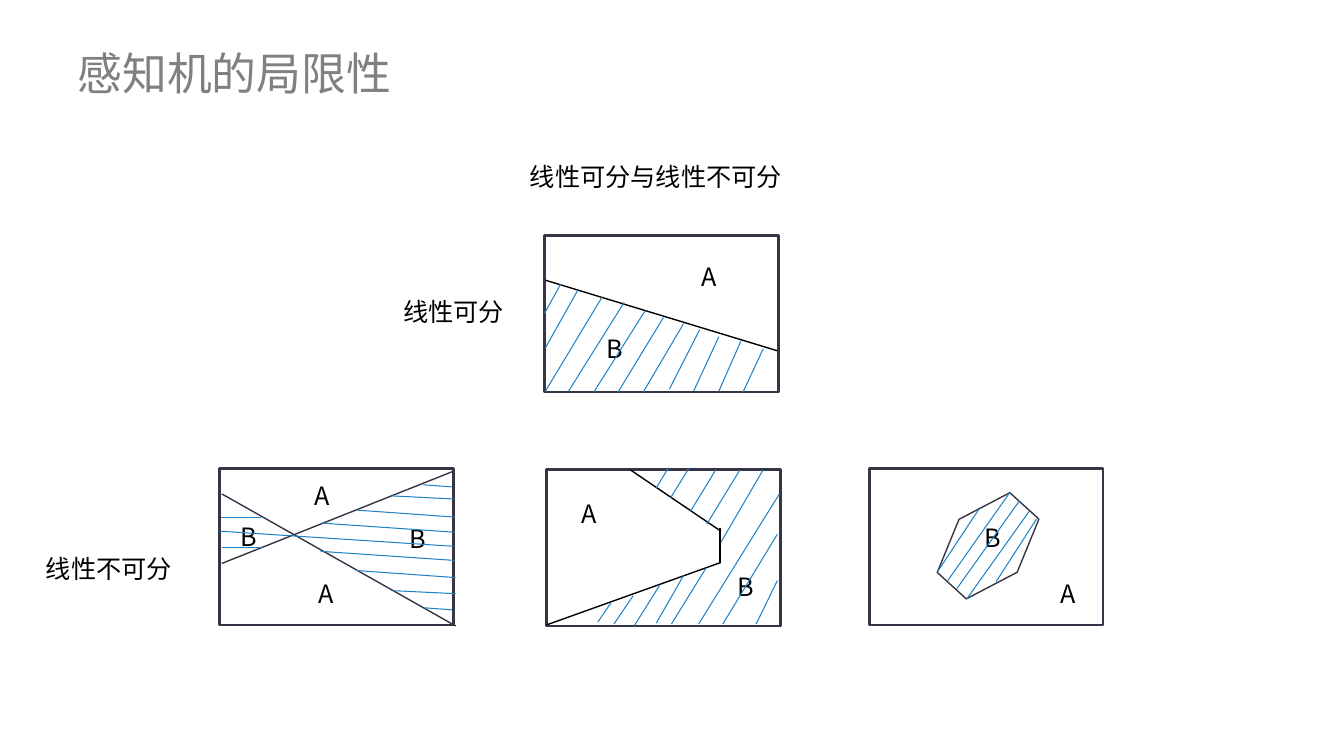
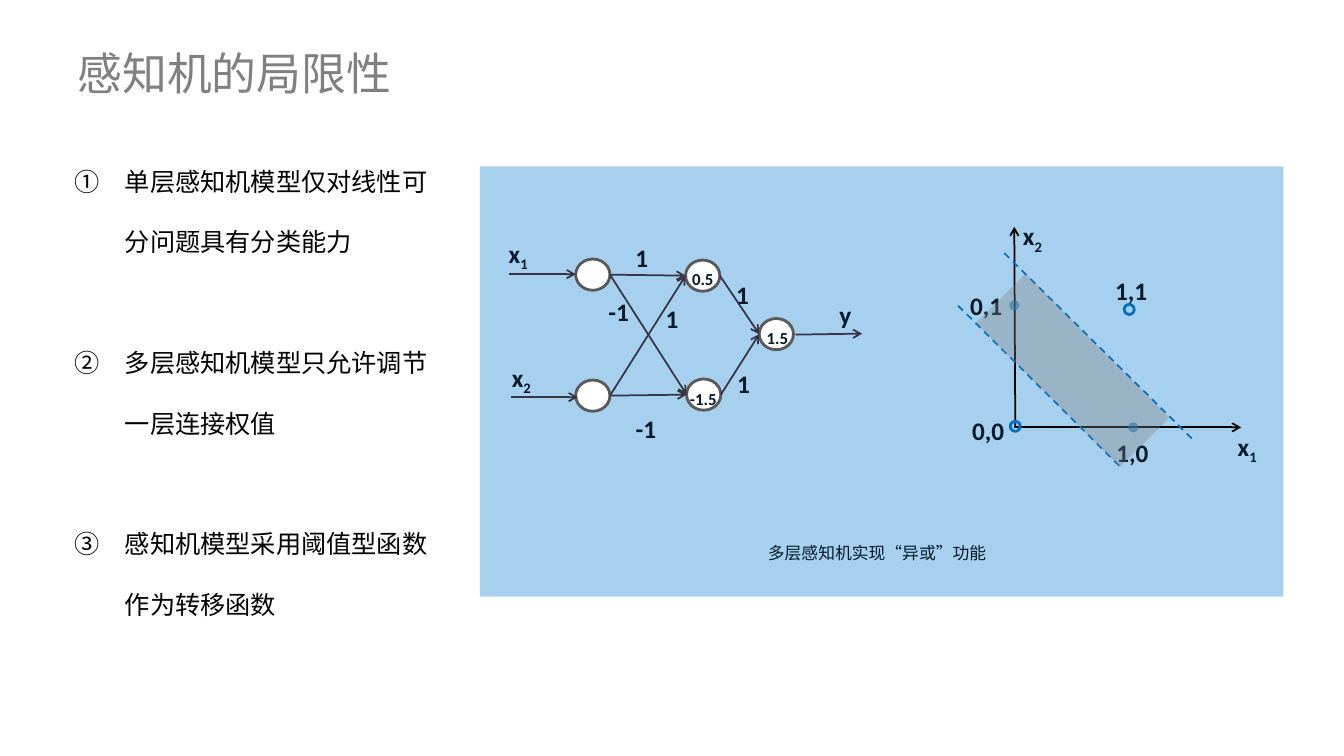
from lxml.etree import SubElement
from pptx import Presentation
from pptx.dml.color import RGBColor
from pptx.enum.dml import MSO_LINE
from pptx.enum.shapes import MSO_CONNECTOR, MSO_SHAPE
from pptx.enum.text import MSO_ANCHOR, PP_ALIGN
from pptx.oxml.ns import qn
from pptx.util import Inches, Pt

BLACK = RGBColor(0x00, 0x00, 0x00)
WHITE = RGBColor(0xFF, 0xFF, 0xFF)
GRAY = RGBColor(0x80, 0x80, 0x80)
NODE_GRAY = RGBColor(0x59, 0x59, 0x59)
OUTLINE = RGBColor(0x37, 0x35, 0x45)
HATCH_BLUE = RGBColor(0x21, 0x81, 0xC6)
POINT_BLUE = RGBColor(0x00, 0x70, 0xC0)
PANEL_BLUE = RGBColor(0x75, 0xB6, 0xE5)
NAVY = RGBColor(0x02, 0x19, 0x29)

CHINESE_FONT = "Noto Sans CJK SC"
TITLE = "感知机的局限性"
TITLE_FORMAT = {"size": Pt(32), "name": CHINESE_FONT}
BODY_FORMAT = {"size": Pt(18), "name": CHINESE_FONT}
SIDE_FORMAT = {"size": Pt(18), "name": "Arial"}
CAPTION_FORMAT = {"size": Pt(12), "name": CHINESE_FONT}
SYMBOL_FORMAT = {"size": Pt(18), "name": "Calibri", "bold": True}
THRESHOLD_FORMAT = {**SYMBOL_FORMAT, "size": Pt(12)}
CENTERED = {"alignment": PP_ALIGN.CENTER}
DOUBLE_SPACED = {"alignment": PP_ALIGN.CENTER, "line_spacing": 2.0}
LOOSE = {"alignment": PP_ALIGN.CENTER, "line_spacing": 1.5}

FRAME_SIZE = (2.32, 1.55)
FRAMES = [(5.4, 2.34), (2.18, 4.65), (5.42, 4.66), (8.62, 4.65)]
REGION_LABELS = [
    ("A", 6.84, 2.54), ("B", 5.91, 3.26),
    ("A", 3.01, 4.72), ("A", 3.04, 5.69), ("B", 2.28, 5.12), ("B", 3.95, 5.14),
    ("A", 5.65, 4.89), ("B", 7.21, 5.62),
    ("B", 9.66, 5.13), ("A", 10.4, 5.69),
]
CROSSING_BOUNDARIES = [(2.2, 4.9, 4.52, 6.21), (2.2, 5.59, 4.51, 4.67)]
BLACK_BOUNDARIES = [
    (5.41, 2.78, 7.71, 3.48),
    (6.25, 4.66, 7.15, 5.27), (7.14, 5.24, 7.14, 5.58), (7.15, 5.58, 5.42, 6.2),
]
SEPARABLE_HATCH = [
    (5.56, 2.82, 5.4, 3.11), (5.73, 2.88, 5.41, 3.45), (5.97, 2.95, 5.41, 3.88),
    (6.19, 3, 5.64, 3.88), (6.4, 3.08, 5.89, 3.89), (6.58, 3.15, 6.13, 3.89),
    (6.78, 3.21, 6.38, 3.89), (6.94, 3.27, 6.64, 3.86), (7.13, 3.34, 6.88, 3.88),
    (7.35, 3.38, 7.13, 3.88), (7.57, 3.46, 7.37, 3.89),
]
CROSSING_HATCH = [
    (2.59, 5.13, 2.19, 5.13), (4.5, 5.42, 2.18, 5.27), (2.6, 5.43, 2.2, 5.43),
    (4.51, 5.56, 3.18, 5.47), (4.52, 5.73, 3.53, 5.66), (4.52, 5.89, 3.9, 5.86),
    (4.49, 6.05, 4.21, 6.03), (4.48, 4.83, 4.2, 4.81), (4.5, 4.95, 3.89, 4.92),
    (4.51, 5.13, 3.53, 5.06), (4.51, 5.28, 3.19, 5.19),
]
NOTCH_HATCH = [
    (7.71, 5.3, 7.17, 6.19), (7.71, 5.76, 7.5, 6.19), (7.73, 4.9, 6.93, 6.19),
    (7, 5.64, 6.66, 6.19), (7.57, 4.66, 7.15, 5.38), (7.34, 4.66, 7.01, 5.2),
    (7.1, 4.66, 6.85, 5.07), (6.83, 4.65, 6.65, 4.94), (6.63, 4.64, 6.51, 4.84),
    (6.06, 5.98, 5.93, 6.17), (6.28, 5.91, 6.09, 6.19), (6.54, 5.81, 6.29, 6.21),
    (6.78, 5.71, 6.51, 6.18),
]
HEXAGON_HATCH = [
    (9.71, 5.05, 9.3, 5.67), (10.28, 5.15, 9.88, 5.77), (10.02, 4.88, 9.4, 5.76),
    (10.21, 5.07, 9.59, 5.94), (10.11, 4.97, 9.49, 5.84),
]

LIMITATIONS = [
    "单层感知机模型仅对线性可分问题具有分类能力",
    "多层感知机模型只允许调节一层连接权值",
    "感知机模型采用阈值型函数作为转移函数",
]
NODE_WIDTH, NODE_HEIGHT = 0.34, 0.31
NODES = {
    "input 1": (5.71, 2.57), "input 2": (5.71, 3.77),
    "hidden 1": (6.8, 2.58), "hidden 2": (6.81, 3.76),
    "output": (7.53, 3.16),
}
EDGES = [
    ("input 1", "hidden 1"), ("input 1", "hidden 2"),
    ("input 2", "hidden 1"), ("input 2", "hidden 2"),
    ("hidden 1", "output"), ("hidden 2", "output"),
]
OUTER_ARROWS = [(5.05, 2.72, 5.71, 2.72), (5.07, 3.94, 5.73, 3.94), (7.89, 3.32, 8.55, 3.31)]
NETWORK_LABELS = [
    ("x", "2", 4.97, 3.37, 0.4), ("x", "1", 4.94, 2.14, 0.4),
    ("1", "", 6.2, 2.2, 0.33), ("1", "", 6.5, 2.81, 0.33),
    ("-1", "", 6.2, 3.9, 0.41), ("-1", "", 5.93, 2.74, 0.41),
    ("1", "", 7.2, 2.57, 0.33), ("1", "", 7.21, 3.45, 0.33),
    ("y", "", 8.22, 2.77, 0.33),
]
THRESHOLDS = [("0.5", 6.76, 2.52, 0.42), ("-1.5", 6.74, 3.71, 0.47), ("1.5", 7.5, 3.1, 0.42)]
AXES = [(10.06, 4.24, 12.31, 4.24), (10.07, 4.23, 10.06, 2.25)]
SEPARATORS = [(11.82, 4.35, 9.96, 2.51), (11.1, 4.62, 9.48, 3.01)]
PLOT_LABELS = [
    ("x", "1", 12.17, 4.06, 0.4), ("x", "2", 10.04, 1.97, 0.4),
    ("0,1", "", 9.47, 2.68, 0.62), ("0,0", "", 9.49, 3.92, 0.62),
    ("1,1", "", 10.91, 2.53, 0.62), ("1,0", "", 10.92, 4.14, 0.62),
]
FILLED_POINTS = [(11.19, 4.19), (10.01, 2.98)]
OPEN_POINTS = [(10.02, 4.18), (11.15, 3.02)]


def set_attributes(target, values):
    for name, value in values.items():
        setattr(target, name, value)


def add_run(paragraph, text, font_format, color):
    run = paragraph.add_run()
    run.text = text
    set_attributes(run.font, font_format)
    run.font.color.rgb = color
    SubElement(run.font._element, qn("a:ea"), typeface=CHINESE_FONT)
    return run


def add_text(slide, text, box, font_format, color=BLACK, layout=None, wrap=True, subscript=""):
    shape = slide.shapes.add_textbox(*map(Inches, box))
    shape.text_frame.word_wrap = wrap
    paragraph = shape.text_frame.paragraphs[0]
    set_attributes(paragraph, layout or {})
    add_run(paragraph, text, font_format, color)
    if subscript:
        run = add_run(paragraph, subscript, font_format, color)
        run.font._element.set("baseline", "-25000")
    return shape


def add_title(slide):
    shape = add_text(slide, TITLE, (0.67, 0.3, 12, 0.84), TITLE_FORMAT, GRAY)
    shape.text_frame.vertical_anchor = MSO_ANCHOR.MIDDLE


def add_shape(slide, kind, box, fill=None, opacity=100, line=None, width=2, rotation=0):
    shape = slide.shapes.add_shape(kind, *map(Inches, box))
    shape.shadow.inherit = False
    shape.rotation = rotation
    if fill is None:
        shape.fill.background()
    else:
        shape.fill.solid()
        shape.fill.fore_color.rgb = fill
        if opacity < 100:
            color = shape._element.spPr.find(f"{qn('a:solidFill')}/{qn('a:srgbClr')}")
            SubElement(color, qn("a:alpha"), val=str(opacity * 1000))
    if line is None:
        shape.line.fill.background()
    else:
        shape.line.color.rgb = line
        shape.line.width = Pt(width)
    return shape


def add_line(slide, ends, color, width, arrow=False, dash=None):
    connector = slide.shapes.add_connector(MSO_CONNECTOR.STRAIGHT, *map(Inches, ends))
    connector.line.color.rgb = color
    set_attributes(connector.line, {"width": Pt(width), "dash_style": dash})
    if arrow:
        SubElement(connector.line._get_or_add_ln(), qn("a:tailEnd"), type="arrow")
    SubElement(connector._element.spPr, qn("a:effectLst"))


def add_numbered_list(slide, items, box):
    shape = slide.shapes.add_textbox(*map(Inches, box))
    frame = shape.text_frame
    frame.word_wrap = True
    for index, item in enumerate(items):
        paragraph = frame.add_paragraph() if index else frame.paragraphs[0]
        set_attributes(paragraph, {"line_spacing": 2.0, "space_after": Pt(43)})
        properties = paragraph._p.get_or_add_pPr()
        properties.set("marL", str(Inches(0.5)))
        properties.set("indent", str(Inches(-0.5)))
        SubElement(properties, qn("a:buFont"), typeface="+mj-ea")
        SubElement(properties, qn("a:buAutoNum"), type="circleNumDbPlain")
        add_run(paragraph, item, BODY_FORMAT, BLACK)


def add_symbols(slide, labels, wrap):
    for text, subscript, left, top, width in labels:
        add_text(slide, text, (left, top, width, 0.51), SYMBOL_FORMAT, NAVY, LOOSE, wrap, subscript)


def build_separability_slide(slide):
    add_title(slide)
    add_text(slide, "线性可分与线性不可分", (0.73, 1.25, 11.55, 0.71), BODY_FORMAT, layout=DOUBLE_SPACED)
    for position in FRAMES:
        add_shape(slide, MSO_SHAPE.RECTANGLE, (*position, *FRAME_SIZE), WHITE, line=OUTLINE)
    add_text(slide, "线性可分", (3.9, 2.89, 1.21, 0.4), SIDE_FORMAT, wrap=False)
    add_text(slide, "线性不可分", (0.35, 5.14, 1.46, 0.71), SIDE_FORMAT, layout=DOUBLE_SPACED, wrap=False)
    for text, left, top in REGION_LABELS:
        add_text(slide, text, (left, top, 0.38, 0.4), BODY_FORMAT, layout=CENTERED, wrap=False)
    add_shape(slide, MSO_SHAPE.HEXAGON, (9.41, 4.88, 0.78, 1.07), line=OUTLINE, width=1, rotation=42.3)
    line_groups = [
        (CROSSING_BOUNDARIES, OUTLINE, 1),
        (BLACK_BOUNDARIES, BLACK, 1),
        (SEPARABLE_HATCH + CROSSING_HATCH + NOTCH_HATCH + HEXAGON_HATCH, HATCH_BLUE, 0.75),
    ]
    for lines, color, width in line_groups:
        for ends in lines:
            add_line(slide, ends, color, width)


def add_plot(slide):
    for ends in AXES:
        add_line(slide, ends, BLACK, 1.25, arrow=True)
    for position in FILLED_POINTS:
        add_shape(slide, MSO_SHAPE.OVAL, (*position, 0.1, 0.1), POINT_BLUE, 57)
    for position in OPEN_POINTS:
        add_shape(slide, MSO_SHAPE.OVAL, (*position, 0.1, 0.1), line=POINT_BLUE)
    add_symbols(slide, PLOT_LABELS, wrap=True)
    for ends in SEPARATORS:
        add_line(slide, ends, POINT_BLUE, 1.25, dash=MSO_LINE.DASH)
    add_shape(slide, MSO_SHAPE.RECTANGLE, (9.63, 3.33, 2.02, 0.69), GRAY, 35, rotation=45)


def add_network(slide):
    for position in NODES.values():
        add_shape(slide, MSO_SHAPE.OVAL, (*position, NODE_WIDTH, NODE_HEIGHT), WHITE, line=NODE_GRAY)
    edges = []
    for source, target in EDGES:
        (left, top), (end_left, end_top) = NODES[source], NODES[target]
        middle = NODE_HEIGHT / 2
        edges.append((left + NODE_WIDTH, top + middle, end_left, end_top + middle))
    for ends in OUTER_ARROWS + edges:
        add_line(slide, ends, OUTLINE, 1.25, arrow=True)
    add_symbols(slide, NETWORK_LABELS, wrap=False)
    for text, left, top, width in THRESHOLDS:
        add_text(slide, text, (left, top, width, 0.37), THRESHOLD_FORMAT, NAVY, LOOSE, wrap=False)


def build_xor_slide(slide):
    add_title(slide)
    add_numbered_list(slide, LIMITATIONS, (0.64, 1.3, 3.7, 4.95))
    add_shape(slide, MSO_SHAPE.RECTANGLE, (4.76, 1.65, 7.97, 4.27), PANEL_BLUE, 63)
    add_plot(slide)
    add_network(slide)
    add_text(slide, "多层感知机实现“异或”功能", (5.55, 5.24, 6.3, 0.4), CAPTION_FORMAT, NAVY, LOOSE)


def main():
    presentation = Presentation()
    presentation.slide_width = Inches(13.33)
    presentation.slide_height = Inches(7.5)
    for build in (build_separability_slide, build_xor_slide):
        build(presentation.slides.add_slide(presentation.slide_layouts[6]))
    presentation.save("out.pptx")


if __name__ == "__main__":
    main()
